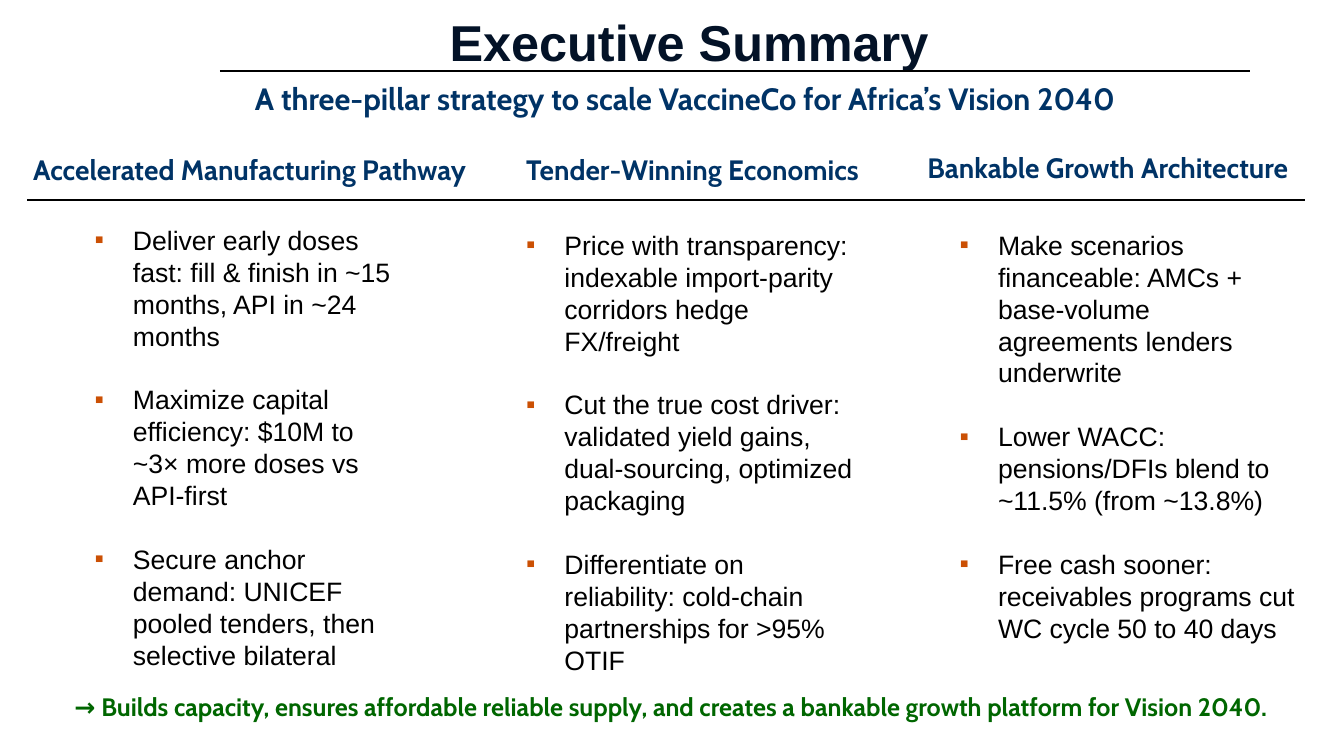
from lxml import etree
from pptx import Presentation
from pptx.dml.color import RGBColor
from pptx.enum.shapes import MSO_CONNECTOR
from pptx.enum.text import MSO_ANCHOR, PP_ALIGN
from pptx.oxml.ns import qn
from pptx.util import Pt

PX = 9144
STRAIGHT = MSO_CONNECTOR.STRAIGHT
TOP, BOTTOM = MSO_ANCHOR.TOP, MSO_ANCHOR.BOTTOM
LEFT, CENTER = PP_ALIGN.LEFT, PP_ALIGN.CENTER

BLACK = RGBColor(0x00, 0x00, 0x00)
INK = RGBColor(0x03, 0x12, 0x27)
NAVY = RGBColor(0x00, 0x33, 0x66)
GREEN = RGBColor(0x00, 0x66, 0x00)
ORANGE = RGBColor(0xCB, 0x50, 0x04)

BULLET_INDENT = 88
BULLET_HANG = 38
BULLET_LINE = Pt(22.8)

prs = Presentation()
prs.slide_width = 1333 * PX
prs.slide_height = 750 * PX
slide = prs.slides.add_slide(prs.slide_layouts[6])


def add_frame(left, top, width, height, anchor=TOP):
    box = slide.shapes.add_textbox(left * PX, top * PX, width * PX, height * PX)
    frame = box.text_frame
    frame.word_wrap = True
    frame.vertical_anchor = anchor
    return frame


def style(paragraph, font_name, size, color, bold):
    font = paragraph.font
    font.name = font_name
    font.size = Pt(size)
    font.bold = bold
    font.color.rgb = color


headlines = [
    ("Executive Summary", 127, 11, 1113, "Arial", 36, INK, CENTER, BOTTOM),
    ("A three-pillar strategy to scale VaccineCo for Africa’s Vision 2040",
     243, 78, 943, "Cabin", 22, NAVY, LEFT, TOP),
    ("Accelerated Manufacturing Pathway", 23, 150, 480, "Cabin", 20, NAVY, LEFT, TOP),
    ("Tender-Winning Economics", 512, 150, 390, "Cabin", 20, NAVY, LEFT, TOP),
    ("Bankable Growth Architecture", 910, 148, 384, "Cabin", 20, NAVY, LEFT, TOP),
    ("→ Builds capacity, ensures affordable reliable supply, and creates a "
     "bankable growth platform for Vision 2040.",
     64, 684, 1220, "Cabin", 18, GREEN, LEFT, TOP),
]
for text, left, top, width, font_name, size, color, align, anchor in headlines:
    headline = add_frame(left, top, width, 66, anchor).paragraphs[0]
    headline.text = text
    headline.alignment = align
    headline.line_spacing = 0.9
    style(headline, font_name, size, color, True)

pillars = [
    (34, 217, 369, [
        "Deliver early doses fast: fill & finish in ~15 months, API in ~24 months",
        "Maximize capital efficiency: $10M to ~3× more doses vs API-first",
        "Secure anchor demand: UNICEF pooled tenders, then selective bilateral",
    ]),
    (462, 222, 402, [
        "Price with transparency: indexable import-parity corridors hedge FX/freight",
        "Cut the true cost driver: validated yield gains, dual-sourcing, optimized packaging",
        "Differentiate on reliability: cold-chain partnerships for >95% OTIF",
    ]),
    (892, 222, 402, [
        "Make scenarios financeable: AMCs + base-volume agreements lenders underwrite",
        "Lower WACC: pensions/DFIs blend to ~11.5% (from ~13.8%)",
        "Free cash sooner: receivables programs cut WC cycle 50 to 40 days",
    ]),
]
for left, top, width, actions in pillars:
    frame = add_frame(left, top, width, 458)
    for index, action in enumerate(actions):
        point = frame.add_paragraph() if index else frame.paragraphs[0]
        point.text = action
        point.level = 1
        props = point._p.get_or_add_pPr()
        props.set("marL", str(BULLET_INDENT * PX))
        props.set("indent", str(-BULLET_HANG * PX))
        bullet_color = etree.SubElement(props, qn("a:buClr"))
        etree.SubElement(bullet_color, qn("a:srgbClr")).set("val", str(ORANGE))
        etree.SubElement(props, qn("a:buFont")).set("typeface", "Arial")
        etree.SubElement(props, qn("a:buChar")).set("char", "▪")
        point.line_spacing = BULLET_LINE
        if index:
            point.space_before = BULLET_LINE
        style(point, "Arial", 19, BLACK, False)

for start, end, height in [(218, 1240, 70), (27, 1294, 198)]:
    rule = slide.shapes.add_connector(
        STRAIGHT, start * PX, height * PX, end * PX, height * PX)
    rule.line.color.rgb = BLACK
    rule.line.width = Pt(1.5)
    etree.SubElement(rule._element.spPr, qn("a:effectLst"))

prs.save("out.pptx")
